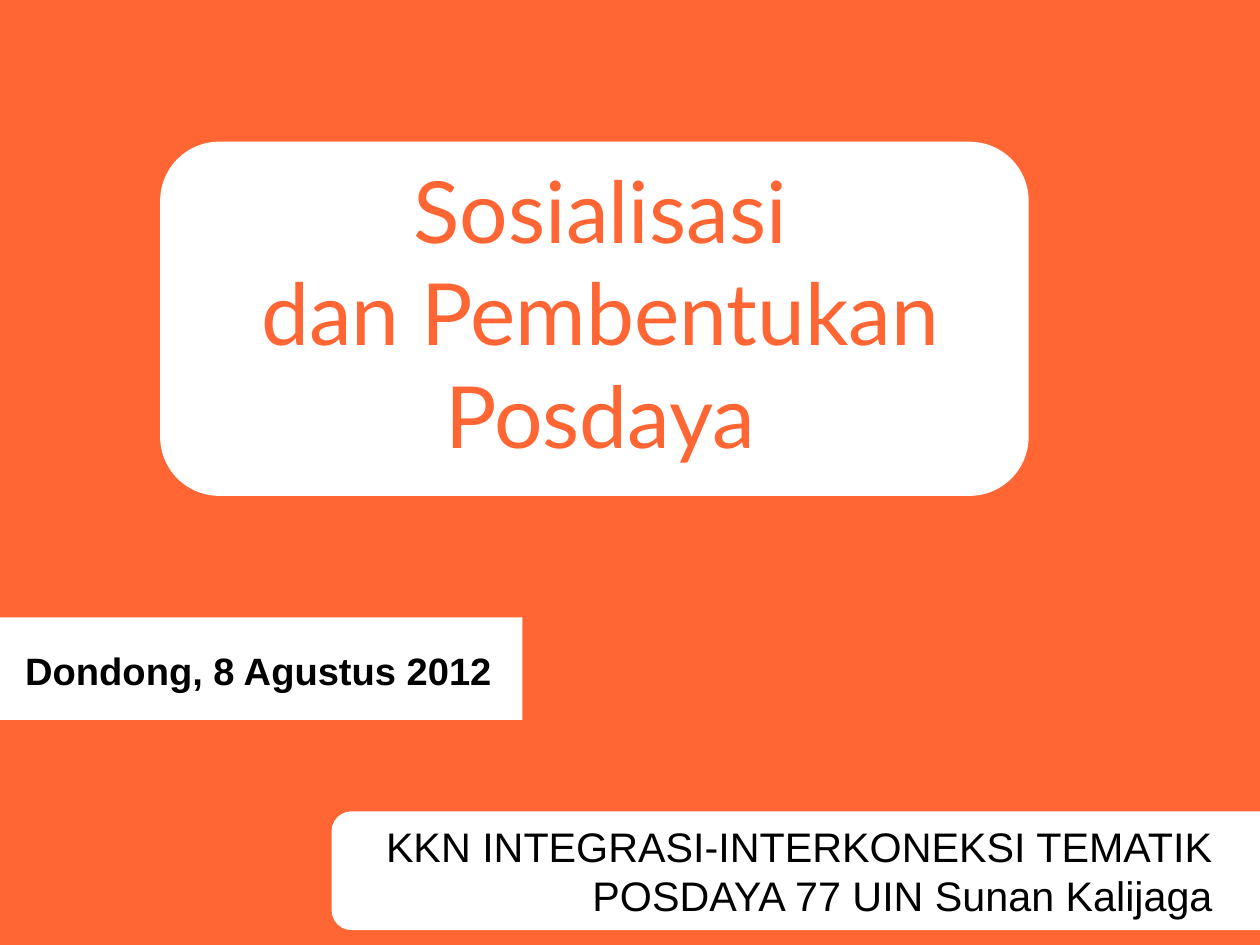
from pptx import Presentation
from pptx.dml.color import RGBColor
from pptx.enum.shapes import MSO_SHAPE
from pptx.enum.text import MSO_ANCHOR, PP_ALIGN
from pptx.util import Cm, Pt

RECT, ROUNDED = MSO_SHAPE.RECTANGLE, MSO_SHAPE.ROUNDED_RECTANGLE
LEFT, CENTER, RIGHT = PP_ALIGN.LEFT, PP_ALIGN.CENTER, PP_ALIGN.RIGHT
MIDDLE = MSO_ANCHOR.MIDDLE
ORANGE, WHITE, BLACK = "FF6633", "FFFFFF", "000000"


def paint(fill, color):
    fill.solid()
    fill.fore_color.rgb = RGBColor.from_string(color)


def write(holder, box, text, align, font, size, color, bold=False):
    holder.left, holder.top, holder.width, holder.height = map(Cm, box)
    frame = holder.text_frame
    frame.word_wrap = True
    frame.vertical_anchor = MIDDLE
    frame.margin_left = frame.margin_top = frame.margin_right = frame.margin_bottom = 0
    frame.text = text
    for line in frame.paragraphs:
        line.alignment = align
        line.space_before = Pt(0)
        line.font.name, line.font.size, line.font.bold = font, Pt(size), bold
        paint(line.font.fill, color)


prs = Presentation()
prs.slide_width, prs.slide_height = Cm(28), Cm(21)
slide = prs.slides.add_slide(prs.slide_layouts[0])
paint(slide.background.fill, ORANGE)

# White panels behind the organiser, the date and the title
for kind, left, top, width, height in (
    (ROUNDED, 7.37, 18.03, 24.64, 2.64),
    (RECT, 0, 13.72, 11.61, 2.28),
    (ROUNDED, 3.56, 3.15, 19.3, 7.87),
):
    panel = slide.shapes.add_shape(kind, Cm(left), Cm(top), Cm(width), Cm(height))
    panel.shadow.inherit = False
    paint(panel.fill, WHITE)
    panel.line.fill.background()

# Title and date, brought in front of the panels
title, date = slide.shapes.title, slide.placeholders[1]
for holder in (date, title):
    slide.shapes._spTree.append(holder._element)
write(title, (0.74, 2.67, 25.2, 8.51), "Sosialisasi\vdan Pembentukan\vPosdaya",
      CENTER, "Lato", 54, ORANGE)
write(date, (0.56, 13.46, 13.59, 2.87), "Dondong, 8 Agustus 2012",
      LEFT, "Arial", 24, BLACK, bold=True)

# Organiser
organiser = slide.shapes.add_textbox(0, 0, 0, 0)
write(organiser, (2.59, 17.91, 24.38, 2.87),
      "KKN INTEGRASI-INTERKONEKSI TEMATIK\nPOSDAYA 77 UIN Sunan Kalijaga",
      RIGHT, "Arial", 26, BLACK)

prs.save("out.pptx")
